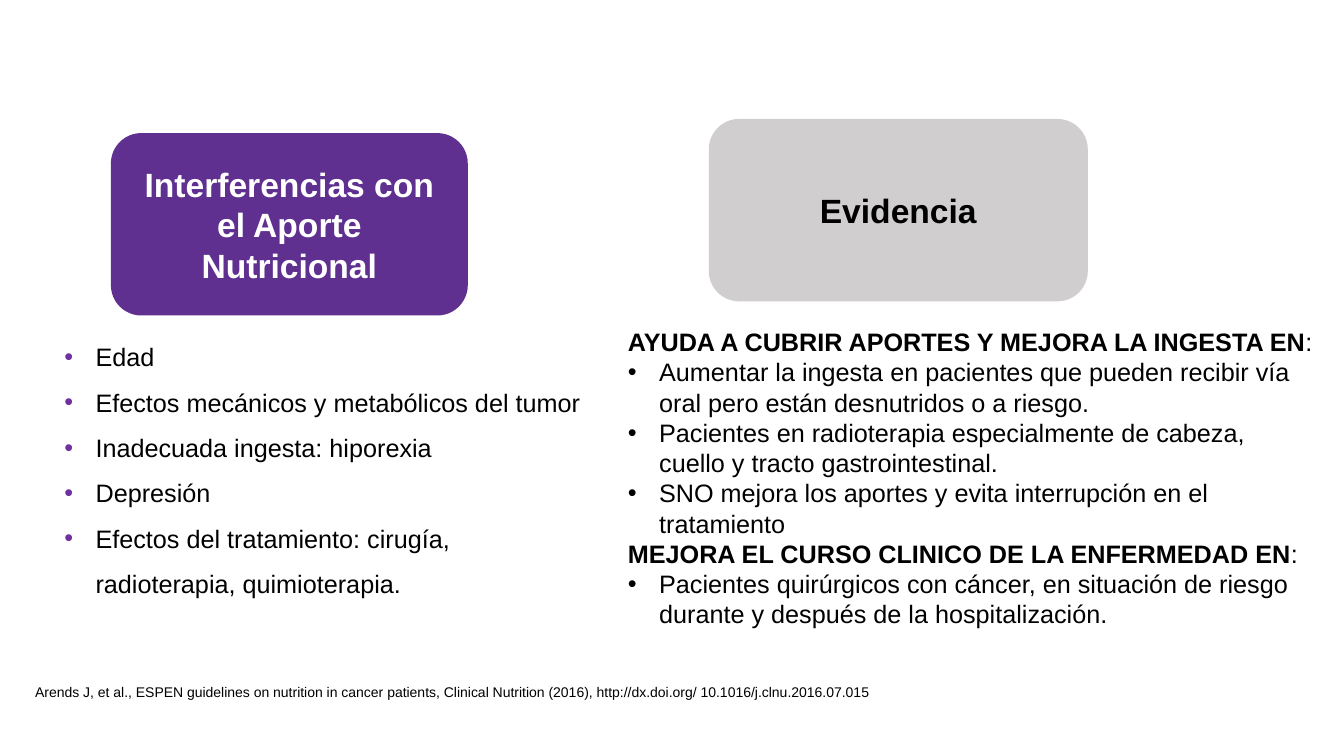
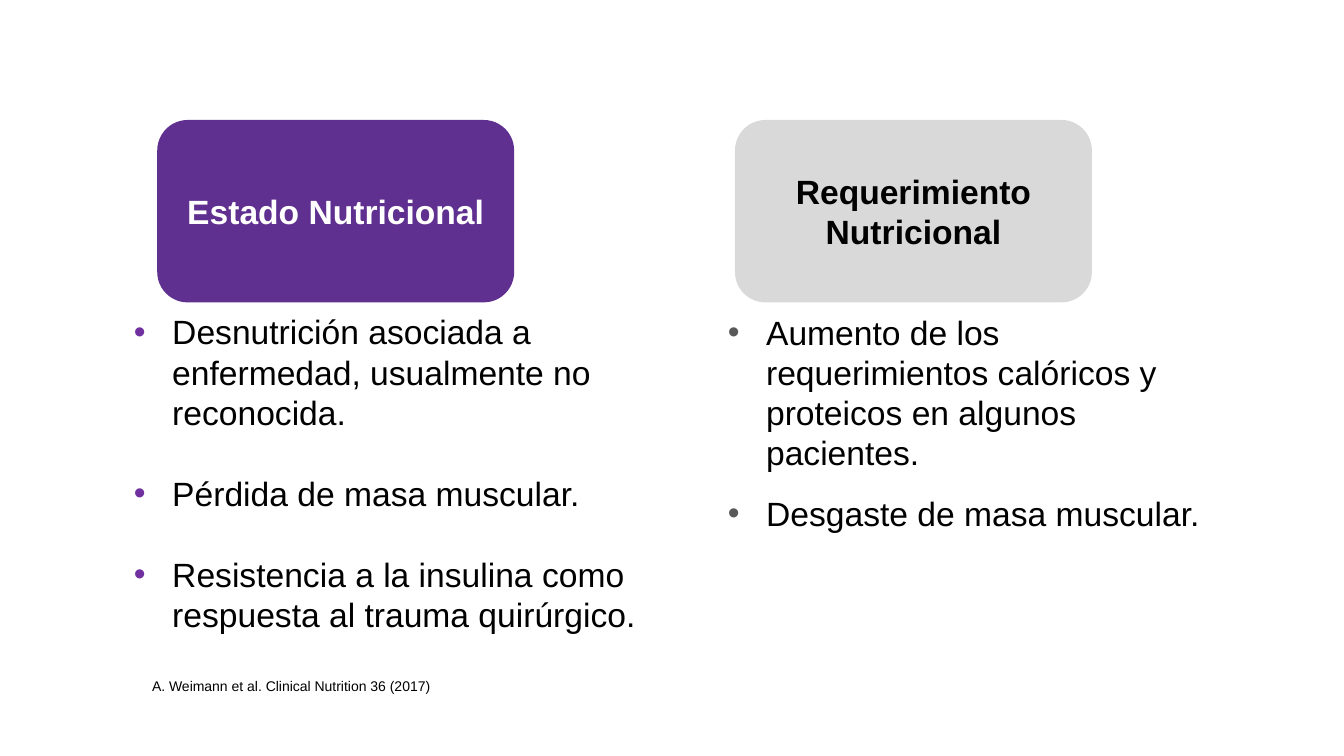
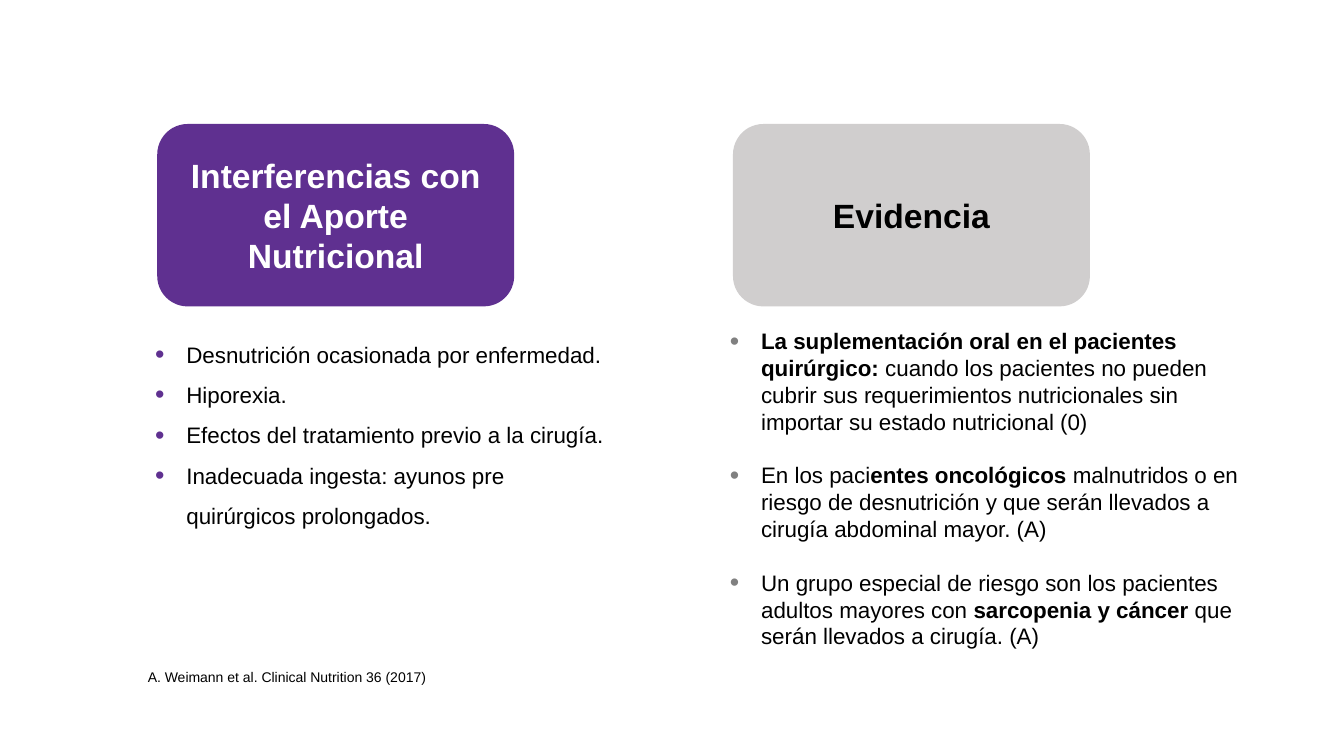
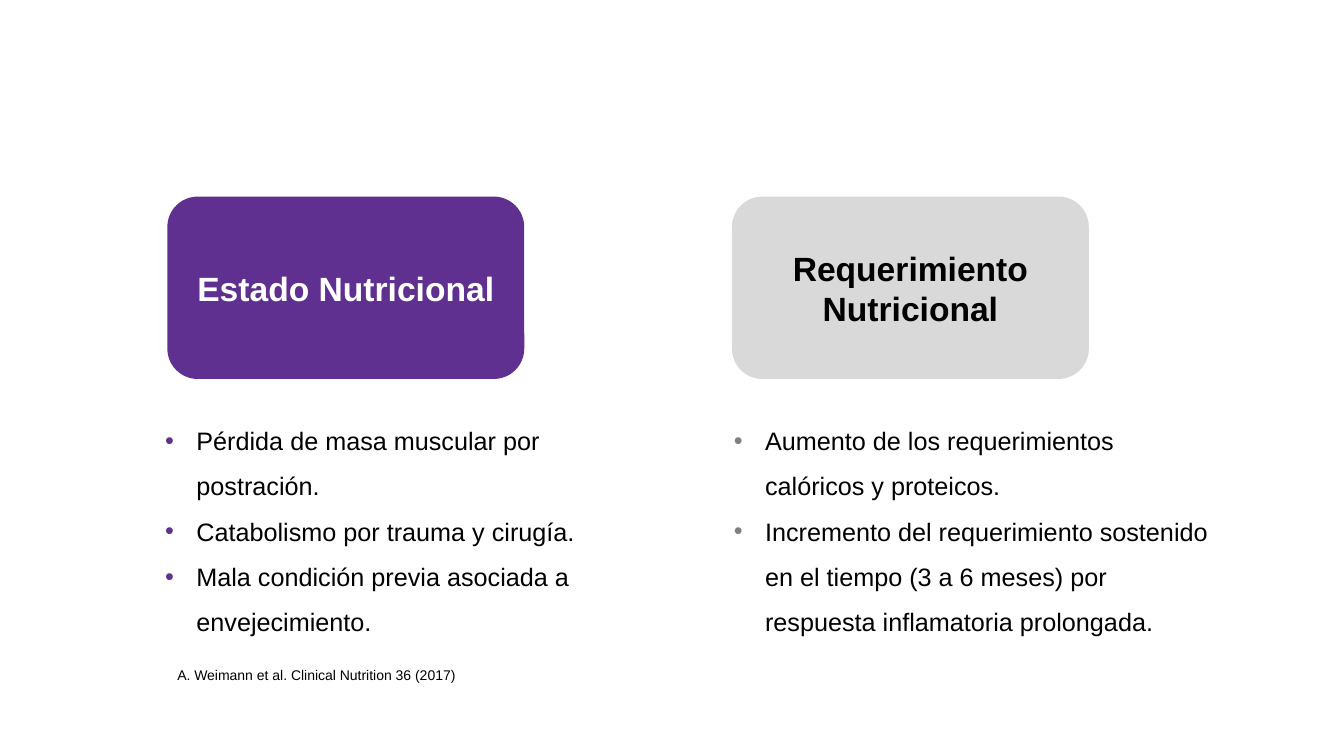
"""Build four slides on nutritional status, requirements and evidence."""

from dataclasses import dataclass
from typing import NamedTuple

from lxml import etree
from pptx import Presentation
from pptx.dml.color import RGBColor
from pptx.enum.shapes import MSO_SHAPE
from pptx.enum.text import MSO_ANCHOR, MSO_AUTO_SIZE, PP_ALIGN
from pptx.oxml.ns import qn
from pptx.slide import Slide
from pptx.text.text import TextFrame, _Paragraph, _Run
from pptx.util import Emu, Pt

ROUNDED = MSO_SHAPE.ROUNDED_RECTANGLE
MIDDLE = MSO_ANCHOR.MIDDLE
GROW = MSO_AUTO_SIZE.SHAPE_TO_FIT_TEXT
LEFT = PP_ALIGN.LEFT
CENTER = PP_ALIGN.CENTER

EMU_PER_PX = 9144
SLIDE_WIDTH, SLIDE_HEIGHT = 1333, 750
HEADING_WIDTH, HEADING_HEIGHT = 354, 181
CITATION_HEIGHT = 27
BLANK_LAYOUT = 6
FONT = "Arial"
HEADING_SIZE, CITATION_SIZE = 24, 10
COLORS = {
    "purple": "5F3090",
    "violet": "7030A0",
    "silver": "D0CECE",
    "light": "D9D9D9",
    "dark": "595959",
    "gray": "808080",
    "black": "000000",
    "white": "FFFFFF",
}
WEIMANN = "A. Weimann et al. Clinical Nutrition 36 (2017)"


class Box(NamedTuple):
    """A place on the slide, in px."""

    left: int
    top: int
    width: int
    height: int


class Span(NamedTuple):
    """A piece of text of one weight."""

    text: str
    bold: bool = False


@dataclass(frozen=True)
class Line:
    """A paragraph of a body, with its own bullet and spacing."""

    spans: tuple[Span, ...]
    bullet: bool = True
    line_spacing: float = 1.0
    space_before: int = 0


@dataclass(frozen=True)
class Heading:
    """A rounded heading above a column."""

    text: str
    left: int
    top: int
    fill: str
    color: str = "black"
    width: int = HEADING_WIDTH


@dataclass(frozen=True)
class Body:
    """The text of a column."""

    box: Box
    size: int
    lines: tuple[Line, ...]
    bullet_color: str = "black"
    bullet_percent: int = 100
    indent: int = 31


@dataclass(frozen=True)
class Citation:
    """The reference at the foot of a slide."""

    text: str
    left: int
    top: int
    width: int
    align: PP_ALIGN = LEFT


@dataclass(frozen=True)
class Page:
    """The content of one slide."""

    headings: tuple[Heading, ...]
    bodies: tuple[Body, ...]
    citation: Citation


def plain_lines(*texts: str, line_spacing: float = 1.0, gap: int = 0) -> tuple[Line, ...]:
    """Return bulleted lines of plain text with a gap between them."""
    return tuple(
        Line((Span(text),), line_spacing=line_spacing, space_before=gap if index else 0)
        for index, text in enumerate(texts)
    )


def label_line(text: str) -> Line:
    """Return an unbulleted bold label that ends in a plain colon."""
    return Line((Span(text, True), Span(":")), bullet=False)


def status_headings(lefts: tuple[int, int], top: int) -> tuple[Heading, ...]:
    """Return the headings for status and requirement."""
    return (
        Heading("Estado Nutricional", lefts[0], top, "purple", "white"),
        Heading("Requerimiento Nutricional", lefts[1], top, "light"),
    )


def evidence_headings(
    lefts: tuple[int, int], tops: tuple[int, int], evidence_width: int = HEADING_WIDTH
) -> tuple[Heading, ...]:
    """Return the headings for interference and evidence."""
    return (
        Heading("Interferencias con el Aporte Nutricional", lefts[0], tops[0], "purple", "white"),
        Heading("Evidencia", lefts[1], tops[1], "silver", width=evidence_width),
    )


PAGES = (
    Page(
        evidence_headings((110, 703), (132, 118), 376),
        (
            Body(
                Box(54, 319, 534, 277),
                18,
                plain_lines(
                    "Edad",
                    "Efectos mecánicos y metabólicos del tumor",
                    "Inadecuada ingesta: hiporexia",
                    "Depresión",
                    "Efectos del tratamiento: cirugía, radioterapia, quimioterapia.",
                    line_spacing=1.5,
                ),
                "violet",
            ),
            Body(
                Box(613, 319, 700, 313),
                18,
                (
                    label_line("AYUDA A CUBRIR APORTES Y MEJORA LA INGESTA EN"),
                    *plain_lines(
                        "Aumentar la ingesta en pacientes que pueden recibir vía oral pero están desnutridos o a riesgo.",
                        "Pacientes en radioterapia especialmente de cabeza, cuello y tracto gastrointestinal.",
                        "SNO mejora los aportes y evita interrupción en el tratamiento",
                    ),
                    label_line("MEJORA EL CURSO CLINICO DE LA ENFERMEDAD EN"),
                    *plain_lines(
                        "Pacientes quirúrgicos con cáncer, en situación de riesgo durante y después de la hospitalización."
                    ),
                ),
            ),
        ),
        Citation(
            "Arends J, et al., ESPEN guidelines on nutrition in cancer patients, Clinical Nutrition (2016), "
            "http://dx.doi.org/ 10.1016/j.clnu.2016.07.015",
            25, 673, 863,
        ),
    ),
    Page(
        status_headings((156, 729), 119),
        (
            Body(
                Box(123, 304, 528, 333),
                24,
                plain_lines(
                    "Desnutrición asociada a enfermedad, usualmente no reconocida.",
                    "Pérdida de masa muscular.",
                    "Resistencia a la insulina como respuesta al trauma quirúrgico.",
                    gap=29,
                ),
                "violet",
                indent=38,
            ),
            Body(
                Box(712, 304, 512, 272),
                24,
                (
                    *plain_lines("Aumento de los requerimientos calóricos y proteicos en algunos pacientes."),
                    *plain_lines("Desgaste de masa muscular.", line_spacing=1.5),
                ),
                "dark",
                indent=38,
            ),
        ),
        Citation(WEIMANN, 141, 667, 533),
    ),
    Page(
        evidence_headings((156, 727), (123, 123)),
        (
            Body(
                Box(144, 320, 476, 207),
                16,
                plain_lines(
                    "Desnutrición ocasionada por enfermedad.",
                    "Hiporexia.",
                    "Efectos del tratamiento previo a la cirugía.",
                    "Inadecuada ingesta: ayunos pre quirúrgicos prolongados.",
                    line_spacing=1.5,
                ),
                "purple",
                120,
            ),
            Body(
                Box(714, 320, 545, 362),
                16,
                (
                    Line((
                        Span("La suplementación oral en el pacientes quirúrgico: ", True),
                        Span(
                            "cuando los pacientes no pueden cubrir sus requerimientos nutricionales "
                            "sin importar su estado nutricional (0)"
                        ),
                    )),
                    Line(
                        (
                            Span("En los paci"),
                            Span("entes oncológicos ", True),
                            Span(
                                "malnutridos o en riesgo de desnutrición y que serán llevados "
                                "a cirugía abdominal mayor. (A)"
                            ),
                        ),
                        space_before=19,
                    ),
                    Line(
                        (
                            Span("Un grupo especial de riesgo son los pacientes adultos mayores con "),
                            Span("sarcopenia y cáncer", True),
                            Span(" que serán llevados a cirugía. (A)"),
                        ),
                        space_before=19,
                    ),
                ),
                "gray",
                120,
            ),
        ),
        Citation(WEIMANN, 33, 658, 503, CENTER),
    ),
    Page(
        status_headings((166, 726), 195),
        (
            Body(
                Box(154, 402, 494, 232),
                18,
                plain_lines(
                    "Pérdida de masa muscular por postración.",
                    "Catabolismo por trauma y cirugía.",
                    "Mala condición previa asociada a envejecimiento.",
                    line_spacing=1.5,
                ),
                "purple",
            ),
            Body(
                Box(718, 402, 501, 277),
                18,
                plain_lines(
                    "Aumento de los requerimientos calóricos y proteicos.",
                    "Incremento del requerimiento sostenido en el tiempo (3 a 6 meses) "
                    "por respuesta inflamatoria prolongada.",
                    line_spacing=1.5,
                ),
                "gray",
            ),
        ),
        Citation(WEIMANN, 166, 656, 311),
    ),
)


def px(length: int) -> Emu:
    """Turn px into EMU."""
    return Emu(length * EMU_PER_PX)


def rgb(name: str) -> RGBColor:
    """Return a named colour."""
    return RGBColor.from_string(COLORS[name])


def format_run(run: _Run, size: int, color: str = "black", bold: bool = False) -> None:
    """Give a run its font."""
    run.font.name = FONT
    run.font.size = Pt(size)
    run.font.bold = bold
    run.font.color.rgb = rgb(color)


def add_bullet(para: _Paragraph, body: Body) -> None:
    """Give a paragraph a hanging bullet."""
    properties = para._p.get_or_add_pPr()
    properties.set("marL", str(px(body.indent)))
    properties.set("indent", str(px(-body.indent)))
    color = etree.SubElement(properties, qn("a:buClr"))
    etree.SubElement(color, qn("a:srgbClr"), val=COLORS[body.bullet_color])
    etree.SubElement(properties, qn("a:buSzPct"), val=str(body.bullet_percent * 1000))
    etree.SubElement(properties, qn("a:buFont"), typeface=FONT)
    etree.SubElement(properties, qn("a:buChar"), char="•")


def add_text_frame(slide: Slide, box: Box) -> TextFrame:
    """Add a wrapping text box and return its frame."""
    frame = slide.shapes.add_textbox(*map(px, box)).text_frame
    frame.word_wrap = True
    frame.auto_size = GROW
    return frame


def add_heading(slide: Slide, heading: Heading) -> None:
    """Draw a rounded heading."""
    box = Box(heading.left, heading.top, heading.width, HEADING_HEIGHT)
    shape = slide.shapes.add_shape(ROUNDED, *map(px, box))
    shape.shadow.inherit = False
    shape.fill.solid()
    shape.fill.fore_color.rgb = rgb(heading.fill)
    shape.line.fill.background()
    frame = shape.text_frame
    frame.text = heading.text
    frame.word_wrap = True
    frame.vertical_anchor = MIDDLE
    para = frame.paragraphs[0]
    para.alignment = CENTER
    format_run(para.runs[0], HEADING_SIZE, heading.color, True)


def add_body(slide: Slide, body: Body) -> None:
    """Draw the text of a column."""
    frame = add_text_frame(slide, body.box)
    for index, line in enumerate(body.lines):
        para = frame.add_paragraph() if index else frame.paragraphs[0]
        if line.bullet:
            add_bullet(para, body)
        para.line_spacing = line.line_spacing
        if line.space_before:
            para.space_before = Pt(line.space_before)
        for span in line.spans:
            run = para.add_run()
            run.text = span.text
            format_run(run, body.size, bold=span.bold)


def add_citation(slide: Slide, citation: Citation) -> None:
    """Draw the reference at the foot."""
    box = Box(citation.left, citation.top, citation.width, CITATION_HEIGHT)
    frame = add_text_frame(slide, box)
    frame.text = citation.text
    para = frame.paragraphs[0]
    para.alignment = citation.align
    format_run(para.runs[0], CITATION_SIZE)


def main() -> None:
    """Build and save the deck."""
    deck = Presentation()
    deck.slide_width, deck.slide_height = px(SLIDE_WIDTH), px(SLIDE_HEIGHT)
    for page in PAGES:
        slide = deck.slides.add_slide(deck.slide_layouts[BLANK_LAYOUT])
        for body in page.bodies:
            add_body(slide, body)
        for heading in page.headings:
            add_heading(slide, heading)
        add_citation(slide, page.citation)
    deck.save("out.pptx")


if __name__ == "__main__":
    main()
